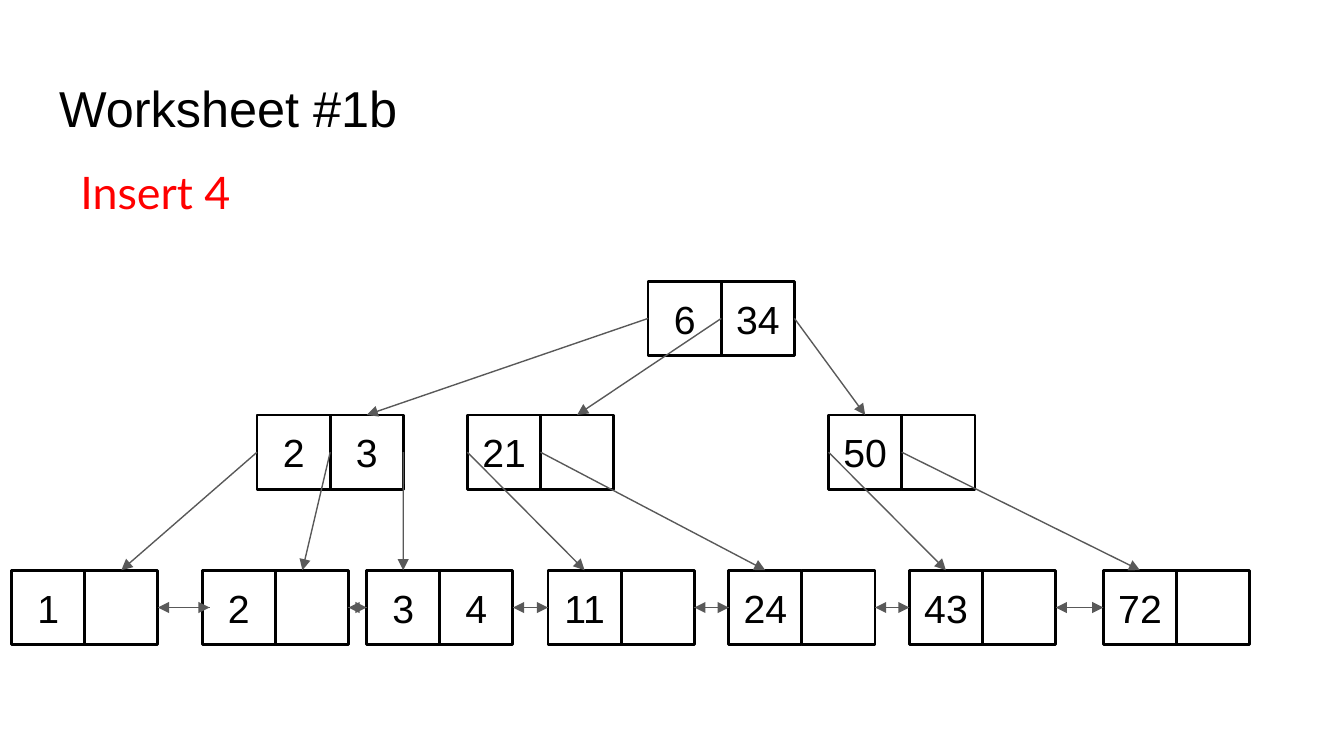
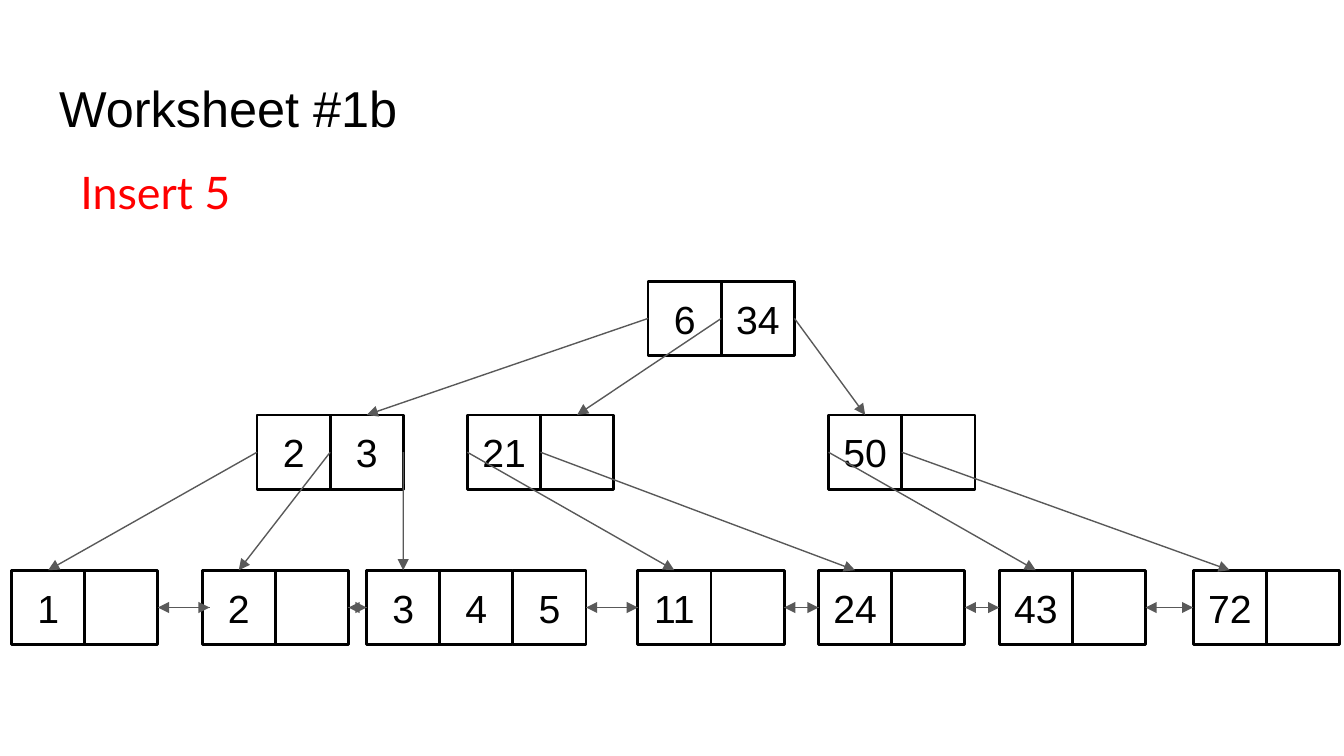
from pptx import Presentation
from pptx.dml.color import RGBColor
from pptx.enum.shapes import MSO_CONNECTOR, MSO_SHAPE
from pptx.enum.text import MSO_ANCHOR, MSO_AUTO_SIZE, PP_ALIGN
from pptx.oxml.ns import qn
from pptx.util import Pt
from lxml.etree import SubElement

# Content: each node is (left edge, keys); each landing is the point, in cells
# from a child's left edge, where its parent's arrow arrives.
TITLE = "Worksheet #1b"
ROOT = (347.2, ["6", "34"])
BRANCHES = [(137.7, ["2", "3"]), (250.4, ["21"]), (443.9, ["50"])]
BRANCH_LANDINGS = [1.5, 1.5, 0.5]
CHILD_COUNTS = [3, 2, 2]  # leaves below each branch
LEFT_LEAVES = [(6.2, ["1"]), (108.3, ["2"])]
RIGHT_LEAVES = [(293.6, ["11"]), (390.4, ["24"]), (487.2, ["43"]), (591.1, ["72"])]
STEPS = [
    {"task": "Insert 4", "full_leaf": (196.4, ["3", "4"]), "shift": 0,
     "landings": [1.5, 1.37] + [0.5] * 5},
    {"task": "Insert 5", "full_leaf": (196.4, ["3", "4", "5"]), "shift": 48.1,
     "landings": [0.5] * 7},
]

# Shared style
COLORS = {"ink": "000000", "arrow": "595959", "task": "FF0000"}
CELL_W, CELL_H = 39.2, 40
ROOT_TOP, BRANCH_TOP, LEAF_TOP = 150.6, 222.3, 305.5
FIRST_LINK_OVERLAP = 4  # the first leaf link reaches into the second leaf


def color(name):
    return RGBColor.from_string(COLORS[name])


def style_text(frame, font, size, color_name, align, anchor):
    frame.word_wrap = True
    frame.auto_size = MSO_AUTO_SIZE.NONE
    frame.vertical_anchor = anchor
    frame.margin_left = frame.margin_right = Pt(7.2)
    frame.margin_top = frame.margin_bottom = Pt(7.2)
    paragraph = frame.paragraphs[0]
    paragraph.alignment = align
    for run in paragraph.runs:
        run.font.name = font
        run.font.size = Pt(size)
        run.font.color.rgb = color(color_name)


def add_heading(slide, task):
    title = slide.shapes.title
    title.left, title.top, title.width, title.height = map(Pt, (24.5, 35, 671, 45))
    title.text_frame.text = TITLE
    style_text(title.text_frame, "Arial", 27, "ink", PP_ALIGN.LEFT, MSO_ANCHOR.MIDDLE)

    prompt = slide.shapes.add_textbox(Pt(0), Pt(77), Pt(236), Pt(44)).text_frame
    prompt.text = task
    style_text(prompt, "Lato", 24, "task", PP_ALIGN.LEFT, MSO_ANCHOR.TOP)
    paragraph = prompt.paragraphs[0]
    paragraph.line_spacing = 1.15
    paragraph.space_after = Pt(16)
    properties = paragraph._p.get_or_add_pPr()
    properties.set("marL", str(Pt(36)))
    properties.set("indent", "0")


def slot_count(node):
    return max(2, len(node[1]))


def add_node(slide, node, top):
    left, keys = node
    cells = slide.shapes.add_group_shape().shapes
    for slot in range(slot_count(node)):
        cell = cells.add_shape(MSO_SHAPE.RECTANGLE, Pt(left + slot * CELL_W), Pt(top),
                               Pt(CELL_W), Pt(CELL_H))
        cell.shadow.inherit = False
        cell.fill.background()
        cell.line.color.rgb = color("ink")
        cell.line.width = Pt(1.5)
        if slot < len(keys):
            cell.text_frame.text = keys[slot]
            style_text(cell.text_frame, "Arial", 21, "ink",
                       PP_ALIGN.CENTER, MSO_ANCHOR.MIDDLE)


def add_arrow(slide, x1, y1, x2, y2):
    arrow = slide.shapes.add_connector(MSO_CONNECTOR.STRAIGHT,
                                       Pt(x1), Pt(y1), Pt(x2), Pt(y2))
    arrow.line.color.rgb = color("arrow")
    arrow.line.width = Pt(0.75)
    SubElement(arrow.line._get_or_add_ln(), qn("a:tailEnd"), type="triangle")
    SubElement(arrow._element.spPr, qn("a:effectLst"))


def add_pointers(slide, parent, parent_top, children, child_top, landings):
    for slot, (child, landing) in enumerate(zip(children, landings)):
        add_arrow(slide, parent[0] + slot * CELL_W, parent_top + CELL_H / 2,
                  child[0] + landing * CELL_W, child_top)


def add_leaf_links(slide, leaves):
    y = LEAF_TOP + CELL_H / 2
    for i, (leaf, following) in enumerate(zip(leaves, leaves[1:])):
        start = leaf[0] + slot_count(leaf) * CELL_W
        end = following[0] + (FIRST_LINK_OVERLAP if i == 0 else 0)
        add_arrow(slide, start, y, end, y)
        add_arrow(slide, end, y, start, y)


def add_tree(slide, step):
    shifted = [(left + step["shift"], keys) for left, keys in RIGHT_LEAVES]
    leaves = LEFT_LEAVES + [step["full_leaf"]] + shifted

    # Nodes, level by level
    for top, nodes in ((ROOT_TOP, [ROOT]), (BRANCH_TOP, BRANCHES), (LEAF_TOP, leaves)):
        for node in nodes:
            add_node(slide, node, top)

    # Parent-to-child pointers
    add_pointers(slide, ROOT, ROOT_TOP, BRANCHES, BRANCH_TOP, BRANCH_LANDINGS)
    first = 0
    for branch, count in zip(BRANCHES, CHILD_COUNTS):
        family = slice(first, first + count)
        add_pointers(slide, branch, BRANCH_TOP, leaves[family], LEAF_TOP,
                     step["landings"][family])
        first += count

    add_leaf_links(slide, leaves)


def main():
    deck = Presentation()
    deck.slide_width, deck.slide_height = Pt(720), Pt(405)
    title_only = deck.slide_layouts[5]
    for step in STEPS:
        slide = deck.slides.add_slide(title_only)
        add_heading(slide, step["task"])
        add_tree(slide, step)
    deck.save("out.pptx")


if __name__ == "__main__":
    main()
